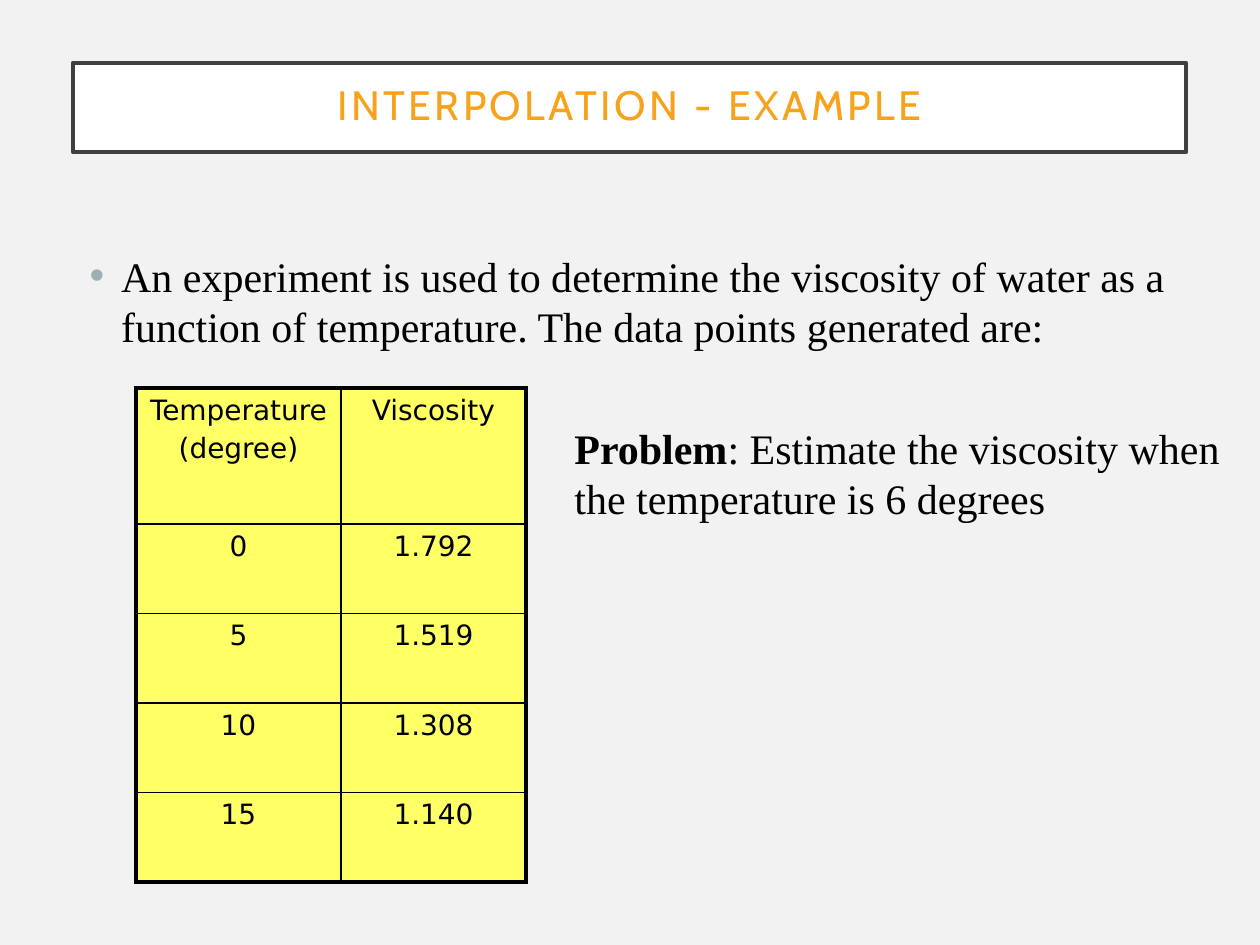
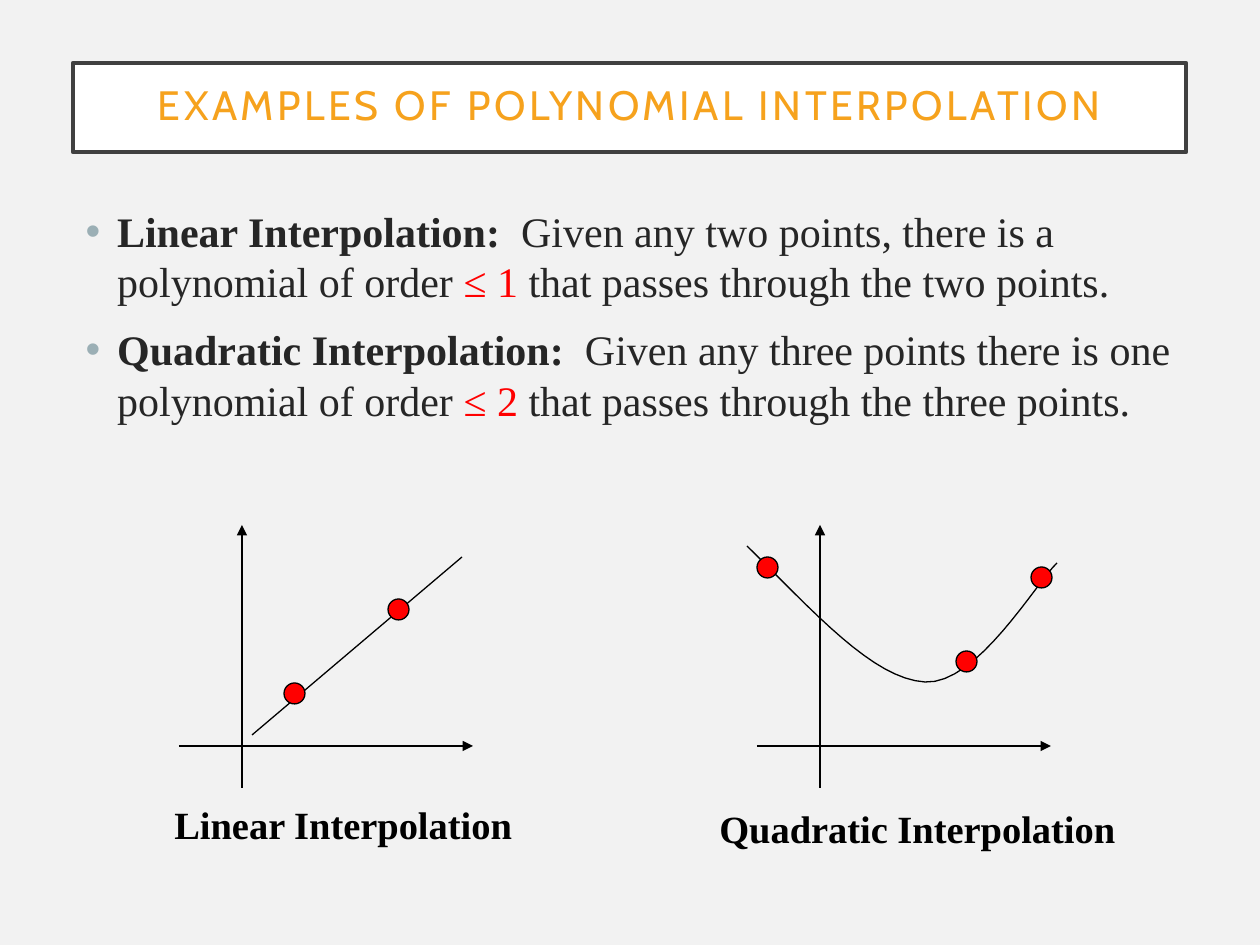
from lxml import etree
from pptx import Presentation
from pptx.dml.color import RGBColor
from pptx.enum.shapes import MSO_CONNECTOR, MSO_SHAPE
from pptx.enum.text import MSO_ANCHOR, MSO_AUTO_SIZE as FIT, PP_ALIGN
from pptx.oxml import parse_xml
from pptx.oxml.ns import nsdecls, qn
from pptx.util import Pt

# Shared scale, colours and fonts
EMU_PER_PX = 914400 / 126
BACK, PAPER, FRAME, ACCENT = "F2F2F2", "FFFFFF", "404040", "F6A21D"
BLACK, DARK, RED, BULLET, YELLOW = "000000", "262626", "FF0000", "9BAFB5", "FFFF66"
SERIF, SANS, TITLE_FONT = "Times New Roman", "DejaVu Sans", "Cabin"
TITLE_BOX = (73, 63, 1113, 89)


def px(v):
    return round(v * EMU_PER_PX)


def color(hex_string):
    return RGBColor.from_string(hex_string)


def paint(shape, fill=None, line=BLACK, width=0.75):
    shape.shadow.inherit = False
    if fill:
        shape.fill.solid()
        shape.fill.fore_color.rgb = color(fill)
    else:
        shape.fill.background()
    shape.line.color.rgb = color(line)
    shape.line.width = Pt(width)


def place(shape, box):
    shape.left, shape.top, shape.width, shape.height = map(px, box)


def add_run(p, text, size=24, font=SERIF, c=BLACK, bold=False, spacing=None):
    r = p.add_run()
    r.text = text
    r.font.size, r.font.name, r.font.bold = Pt(size), font, bold
    r.font.color.rgb = color(c)
    if spacing:
        r._r.get_or_add_rPr().set("spc", str(spacing * 100))


def write(tf, paragraphs, align=None, before=None, **fmt):
    """Each paragraph is a list of (text, own format) pairs."""
    for i, runs in enumerate(paragraphs):
        p = tf.paragraphs[0] if i == 0 else tf.add_paragraph()
        p.alignment = align
        if before is not None:
            p.space_before = Pt(before)
        for text, own in runs:
            add_run(p, text, **{**fmt, **own})


# Title band
def add_title(s, text):
    title = s.shapes.title
    place(title, TITLE_BOX)
    paint(title, PAPER, FRAME, 2.5)
    tf = title.text_frame
    tf.auto_size, tf.word_wrap, tf.vertical_anchor = FIT.NONE, True, MSO_ANCHOR.MIDDLE
    tf.margin_left = tf.margin_top = tf.margin_right = tf.margin_bottom = px(25)
    write(tf, [[(text, {})]], align=PP_ALIGN.CENTER,
          size=23.4, font=TITLE_FONT, c=ACCENT, spacing=2)
    tf.paragraphs[0].line_spacing = 0.9


# Bulleted list
def add_bullets(s, box, paragraphs, c):
    body = s.placeholders[1]
    place(body, box)
    tf = body.text_frame
    tf.auto_size, tf.word_wrap, tf.vertical_anchor = FIT.NONE, True, MSO_ANCHOR.TOP
    write(tf, paragraphs, before=10, c=c)
    for p in tf.paragraphs:
        pPr = p._p.get_or_add_pPr()
        pPr.set("marL", str(px(31.5)))
        pPr.set("indent", str(-px(31.5)))
        clr = etree.SubElement(pPr, qn("a:buClr"))
        etree.SubElement(clr, qn("a:srgbClr"), val=BULLET)
        etree.SubElement(pPr, qn("a:buFont"), typeface="Arial")
        etree.SubElement(pPr, qn("a:buChar"), char="•")


def add_text(s, box, paragraphs, wrap=True, **fmt):
    tb = s.shapes.add_textbox(*map(px, box))
    tf = tb.text_frame
    tf.word_wrap, tf.auto_size = wrap, FIT.SHAPE_TO_FIT_TEXT
    write(tf, paragraphs, **fmt)


# Data table: thick outside, thin inside
def set_borders(cell, thick_sides):
    tcPr = cell._tc.get_or_add_tcPr()
    for i, side in enumerate("LRTB"):
        width = Pt(2.25 if side in thick_sides else 1)
        tcPr.insert(i, parse_xml(
            f'<a:ln{side} {nsdecls("a")} w="{width}"><a:solidFill>'
            f'<a:srgbClr val="{BLACK}"/></a:solidFill></a:ln{side}>'))


def add_data_table(s, left, top, col_widths, row_heights, rows):
    table = s.shapes.add_table(len(rows), len(col_widths), px(left), px(top),
                               px(sum(col_widths)), px(sum(row_heights))).table
    table.first_row = table.horz_banding = False
    for col, w in zip(table.columns, col_widths):
        col.width = px(w)
    for y, (row, h) in enumerate(zip(rows, row_heights)):
        table.rows[y].height = px(h)
        for x, lines in enumerate(row):
            cell = table.cell(y, x)
            cell.fill.solid()
            cell.fill.fore_color.rgb = color(YELLOW)
            write(cell.text_frame, [[(t, {})] for t in lines.split("\n")],
                  align=PP_ALIGN.CENTER, before=3.2, size=16, font=SANS)
            edges = {"L": x == 0, "R": x == len(row) - 1,
                     "T": y == 0, "B": y == len(rows) - 1}
            set_borders(cell, [side for side, outer in edges.items() if outer])


# Plots: axes, a curve and marked points, all relative to the plot's corner
def add_line(shapes, start, end, arrow=False):
    line = shapes.add_connector(MSO_CONNECTOR.STRAIGHT, *map(px, start + end))
    line.line.color.rgb = color(BLACK)
    line.line.width = Pt(0.75)
    if arrow:
        etree.SubElement(line.line._get_or_add_ln(), qn("a:tailEnd"), type="triangle")
    etree.SubElement(line._element.spPr, qn("a:effectLst"))


def bezier(p0, p1, p2, p3, steps=16):
    for i in range(1, steps + 1):
        t = i / steps
        u = 1 - t
        yield tuple(u**3 * a + 3 * u * u * t * b + 3 * u * t * t * c + t**3 * d
                    for a, b, c, d in zip(p0, p1, p2, p3))


def add_plot(s, left, top, curve, dots, width=294, height=263, dot=21):
    shapes = s.shapes.add_group_shape().shapes

    def at(point):
        return left + point[0], top + point[1]

    add_line(shapes, at((63, height)), at((63, 0)), arrow=True)
    add_line(shapes, at((0, 221)), at((width, 221)), arrow=True)
    if len(curve) == 2:
        add_line(shapes, at(curve[0]), at(curve[1]))
    else:
        points = [q for i in range(0, len(curve) - 1, 3) for q in bezier(*curve[i:i + 4])]
        x, y = at(curve[0])
        builder = shapes.build_freeform(px(x), px(y))
        builder.add_line_segments([tuple(map(px, at(q))) for q in points], close=False)
        paint(builder.convert_to_shape())
    for point in dots:
        x, y = at(point)
        paint(shapes.add_shape(MSO_SHAPE.OVAL, *map(px, (x, y, dot, dot))), RED)


def new_slide(prs, title):
    s = prs.slides.add_slide(prs.slide_layouts[1])
    add_title(s, title)
    return s


prs = Presentation()
prs.slide_width, prs.slide_height = px(1260), px(945)
back = prs.slide_master.background.fill
back.solid()
back.fore_color.rgb = color(BACK)
BOLD, HOT = {"bold": True}, {"c": RED}

# Slide 1: viscosity data
s = new_slide(prs, "INTERPOLATION - EXAMPLE")
add_bullets(s, (77, 244, 1113, 701), [[(
    "An experiment is used to determine the viscosity of water as a function "
    "of temperature. The data points generated are:", {})]], BLACK)
add_data_table(s, 136, 388, [205, 185], [136] + [89.5] * 4, [
    ("Temperature\n(degree)", "Viscosity"),
    ("0", "1.792"), ("5", "1.519"), ("10", "1.308"), ("15", "1.140")])
add_text(s, (562, 416, 687, 115), [
    [("Problem", BOLD), (": Estimate the viscosity when ", {})],
    [("the temperature is 6 degrees", {})]], wrap=False)

# Slide 2: linear and quadratic cases
s = new_slide(prs, "EXAMPLES OF POLYNOMIAL INTERPOLATION")
add_bullets(s, (73, 199, 1113, 701), [
    [(f"{name} Interpolation:  ", BOLD), (f"{given} polynomial of order ", {}),
     (f"≤ {order}", HOT), (f" that passes through the {count} points.", {})]
    for name, given, order, count in [
        ("Linear", "Given any two points, there is a", 1, "two"),
        ("Quadratic", "Given any three points there is one", 2, "three")]], DARK)
add_plot(s, 179, 525, [(73, 210), (283, 32)], [(105, 158), (209, 74)])
add_plot(s, 757, 525,
         [(300, 38), (279, 58), (220, 160), (168, 157), (116, 154), (57, 87), (-10, 21)],
         [(0, 32), (199, 126), (274, 42)])
for name, box in [("Linear", (162, 795, 389, 59)), ("Quadratic", (707, 799, 479, 59))]:
    add_text(s, box, [[(f"{name} Interpolation", {})]], size=22, bold=True)

prs.save("out.pptx")
